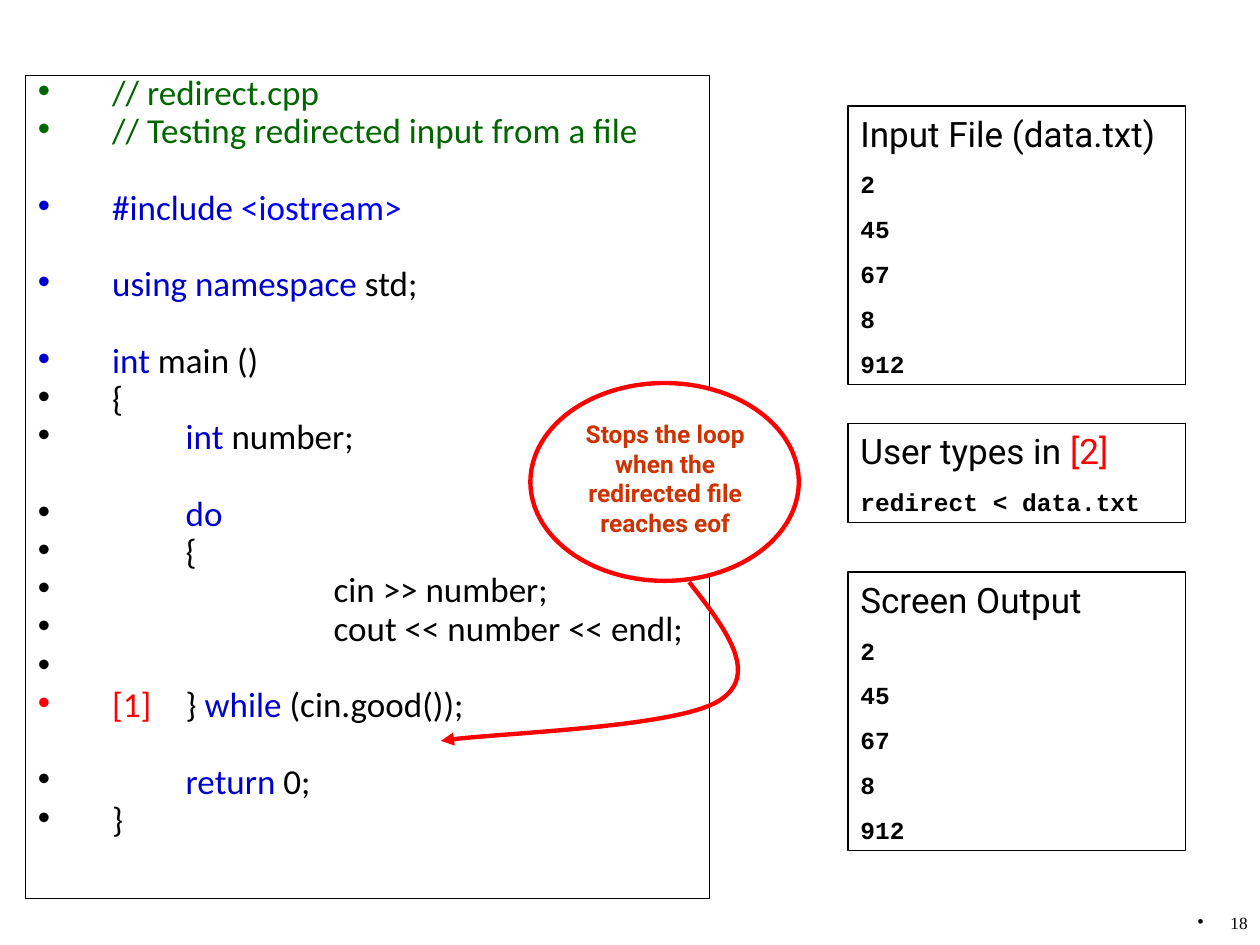
import pptx
import pptx.dml.color
import pptx.enum.shapes
import pptx.enum.text
import pptx.oxml.ns
import pptx.util
import lxml.etree

GREEN, BLUE, BLACK, RED = "006600", "0000CC", "000000", "FF0000"
qn = pptx.oxml.ns.qn


def rgb(hex_colour):
    return pptx.dml.color.RGBColor.from_string(hex_colour)


def write(paragraph, pieces, size, face, bold=False, before=0):
    paragraph.space_before = pptx.util.Pt(before)
    for words, colour in pieces:
        run = paragraph.add_run()
        run.text = words
        run.font.size = pptx.util.Pt(size)
        run.font.name = face
        run.font.bold = bold
        run.font.color.rgb = rgb(colour)


deck = pptx.Presentation()
deck.slide_width = pptx.util.Inches(10)
deck.slide_height = pptx.util.Inches(7.5)
column = deck.slide_width / 100
row = deck.slide_height / 75
slide = deck.slides.add_slide(deck.slide_layouts[1])
shapes = slide.shapes
heading = shapes.title.element
heading.getparent().remove(heading)

code = slide.placeholders[1]
code.left, code.top = round(2 * column), round(6 * row)
code.width, code.height = round(54.3 * column), round(65.3 * row)
code.line.color.rgb = rgb(BLACK)
code.line.width = pptx.util.Pt(0.75)
code.text_frame.auto_size = pptx.enum.text.MSO_AUTO_SIZE.NONE

sections = [
    [[("// redirect.cpp", GREEN)],
     [("// Testing redirected input from a file", GREEN)]],
    [[("#include ", BLUE), ("<iostream>", "0000FF")]],
    [[("using namespace", BLUE), (" std;", BLACK)]],
    [[("int", BLUE), (" main ()", BLACK)],
     [("{", BLACK)],
     [("\t", BLACK), ("int", BLUE), (" number;", BLACK)]],
    [[("\t", BLACK), ("do", BLUE)],
     [("\t{", BLACK)],
     [("\t\tcin >> number;", BLACK)],
     [("\t\tcout << number << endl;", BLACK)],
     [("\t\t", BLACK)],
     [("[1]\t", RED), ("} ", BLACK), ("while", BLUE), (" (cin.good());", BLACK)]],
    [[("\t", BLACK), ("return", BLUE), (" 0;", BLACK)],
     [("}", BLACK)]],
]
bulleted = []
for section_number, section in enumerate(sections):
    for line_number, pieces in enumerate(section):
        statement = code.text_frame.add_paragraph() if bulleted else code.text_frame.paragraphs[0]
        starts_section = section_number > 0 and line_number == 0
        write(statement, pieces, 20, "Calibri", before=27 if starts_section else 5)
        statement.line_spacing = 0.7
        bulleted.append((statement, 0.59))

page = shapes.add_textbox(round(91.2 * column), round(72.2 * row),
                          round(8.8 * column), round(2.8 * row))
page.text_frame.word_wrap = True
page_number = page.text_frame.paragraphs[0]
write(page_number, [("18", BLACK)], 9.8, "Times New Roman", before=3.5)
page_number.alignment = pptx.enum.text.PP_ALIGN.RIGHT
page_number.line_spacing = 0.8
bulleted.append((page_number, 0.26))

for paragraph, indent in bulleted:
    properties = paragraph._p.get_or_add_pPr()
    properties.set("marL", str(pptx.util.Inches(indent)))
    properties.set("indent", str(-pptx.util.Inches(indent)))
    bullet_colour = lxml.etree.SubElement(properties, qn("a:buClr"))
    lxml.etree.SubElement(bullet_colour, qn("a:srgbClr"),
                          val=str(paragraph.runs[0].font.color.rgb))
    lxml.etree.SubElement(properties, qn("a:buFont"), typeface="Arial")
    lxml.etree.SubElement(properties, qn("a:buChar"), char="•")
    stops = lxml.etree.SubElement(properties, qn("a:tabLst"))
    for stop in range(1, 9):
        lxml.etree.SubElement(stops, qn("a:tab"), algn="l",
                              pos=str(pptx.util.Inches(1.174 * stop)))

numbers = ["2", "45", "67", "8", "912"]
panels = [
    (8.4, 22.1, [("Input File (data.txt)", BLACK)], numbers),
    (33.6, 7.9, [("User types in ", BLACK), ("[2]", RED)], ["redirect < data.txt"]),
    (45.4, 22.1, [("Screen Output", BLACK)], numbers),
]
for top, height, caption, entries in panels:
    panel = shapes.add_shape(pptx.enum.shapes.MSO_SHAPE.RECTANGLE, round(67.3 * column),
                             round(top * row), round(26.8 * column), round(height * row))
    panel.shadow.inherit = False
    panel.fill.background()
    panel.line.color.rgb = rgb(BLACK)
    panel.line.width = pptx.util.Pt(0.75)
    frame = panel.text_frame
    frame.vertical_anchor = pptx.enum.text.MSO_ANCHOR.TOP
    write(frame.paragraphs[0], caption, 20, "Roboto", before=12.5)
    for entry in entries:
        write(frame.add_paragraph(), [(entry, BLACK)], 14, "Courier New", True, 8.8)
    for paragraph in frame.paragraphs:
        paragraph.alignment = pptx.enum.text.PP_ALIGN.LEFT

callout = shapes.add_shape(pptx.enum.shapes.MSO_SHAPE.OVAL, round(42.1 * column),
                           round(30.4 * row), round(21.3 * column), round(15.7 * row))
callout.fill.solid()
callout.fill.fore_color.rgb = rgb("FFFFFF")

bends = [(54.7, 46.2), (57.5, 49.8), (60.4, 53.5), (57.1, 55.6),
         (53.8, 57.7), (38.7, 58.2), (35, 58.8)]
points = [(round(x * column), round(y * row)) for x, y in bends]
builder = shapes.build_freeform(*points[0])
builder.add_line_segments(points[1:], close=False)
pointer = builder.convert_to_shape()
pointer.fill.background()
segments = list(pointer._element.iter(qn("a:lnTo")))
for first in range(0, len(segments), 3):
    curve = lxml.etree.Element(qn("a:cubicBezTo"))
    segments[first].addprevious(curve)
    for segment in segments[first:first + 3]:
        curve.append(segment[0])
        segment.getparent().remove(segment)

for outlined in (callout, pointer):
    outlined.shadow.inherit = False
    outlined.line.color.rgb = rgb(RED)
    outlined.line.width = pptx.util.Pt(2.5)
lxml.etree.SubElement(pointer.line._get_or_add_ln(), qn("a:tailEnd"), type="triangle")

remark = shapes.add_textbox(round(45.3 * column), round(32.8 * row),
                            round(15 * column), round(15 * row))
remark.text_frame.word_wrap = True
write(remark.text_frame.paragraphs[0],
      [("Stops the loop when the redirected file reaches eof", "CC3300")],
      14, "Roboto", True, 8.8)
remark.text_frame.paragraphs[0].alignment = pptx.enum.text.PP_ALIGN.CENTER

deck.save("out.pptx")
